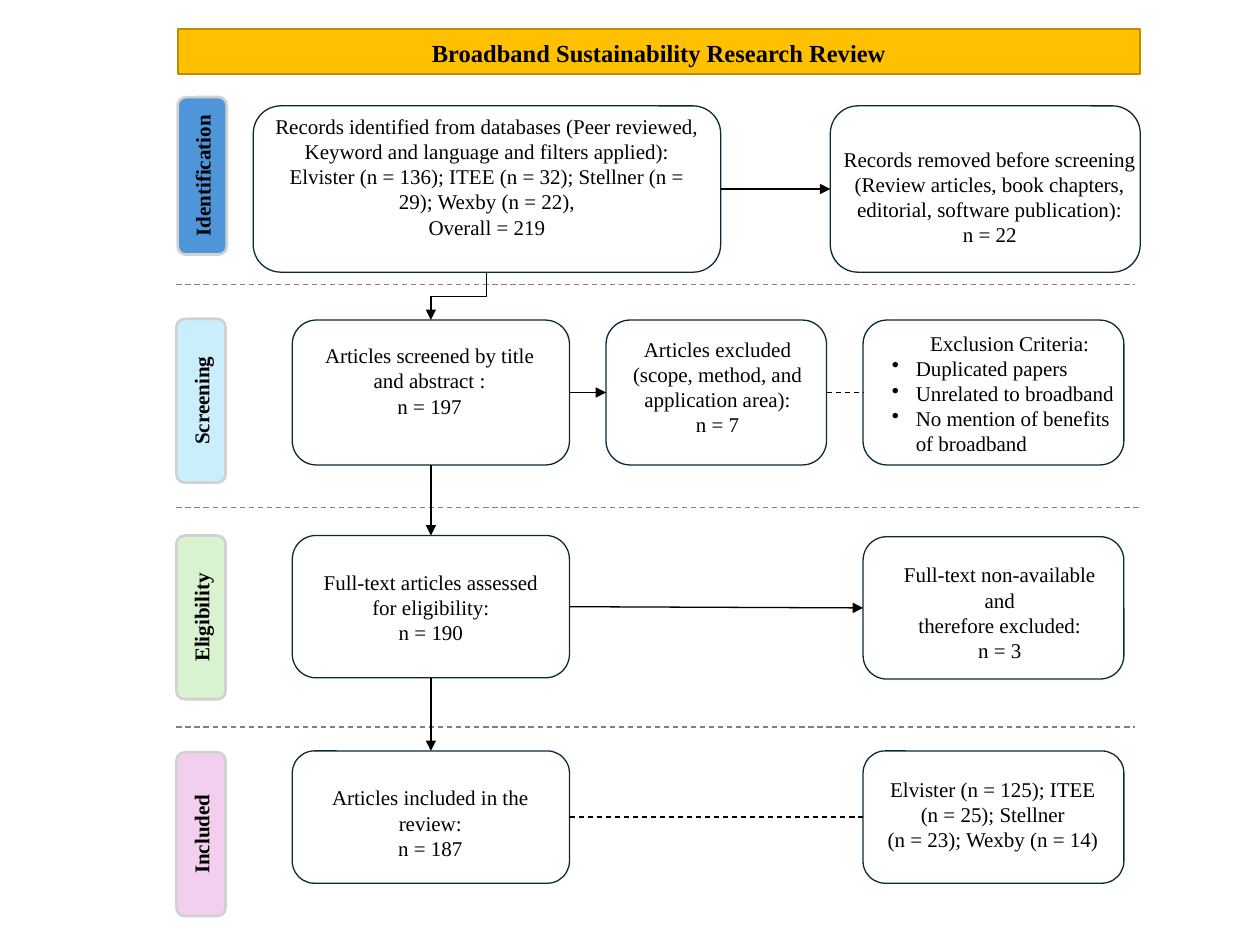
from lxml.etree import SubElement
from pptx import Presentation
from pptx.dml.color import RGBColor
from pptx.enum.dml import MSO_LINE
from pptx.enum.shapes import MSO_CONNECTOR, MSO_SHAPE
from pptx.enum.text import MSO_ANCHOR, MSO_AUTO_SIZE, PP_ALIGN
from pptx.oxml.ns import qn
from pptx.util import Inches, Pt

BLACK, GRAY, NAVY = "000000", "808080", "092A39"
TOP, LEFT, BOTTOM, RIGHT = range(4)

# phase, fill, left, top, height
PHASES = [
    ("Identification", "4E95D9", 1.41, 0.77, 1.25),
    ("Screening", "CAEEFB", 1.4, 2.53, 1.3),
    ("Eligibility", "D9F2D0", 1.4, 4.25, 1.3),
    ("Included", "F2CFEE", 1.4, 5.97, 1.3),
]

# name: frame, text frame, lines; a leading bullet makes a list item
BOXES = {
    "found": ((2.01, 0.84, 3.71, 1.32), (2.08, 0.85, 3.57, 1.31), [
        "Records identified from databases (Peer reviewed,",
        "Keyword and language and filters applied):",
        "Elvister (n = 136); ITEE (n = 32); Stellner (n = 29); Wexby (n = 22),",
        "Overall = 219"]),
    "removed": ((6.59, 0.84, 2.46, 1.32), (6.56, 1.11, 2.59, 0.91), [
        "Records removed before screening",
        "(Review articles, book chapters,",
        "editorial, software publication):",
        "n = 22"]),
    "screened": ((2.32, 2.54, 2.2, 1.15), (2.45, 2.67, 1.92, 0.71), [
        "Articles screened by title", "and abstract :", "n = 197"]),
    "dropped": ((4.81, 2.54, 1.75, 1.15), (4.89, 2.62, 1.61, 0.91), [
        "Articles excluded", "(scope, method, and", "application area):",
        "n = 7"]),
    "criteria": ((6.85, 2.54, 2.07, 1.15), (6.98, 2.57, 2.07, 1.11), [
        "Exclusion Criteria:", "•Duplicated papers",
        "•Unrelated to broadband", "•No mention of benefits of broadband"]),
    "assessed": ((2.32, 4.25, 2.2, 1.13), (2.41, 4.47, 2.02, 0.71), [
        "Full-text articles assessed", "for eligibility:", "n = 190"]),
    "missing": ((6.85, 4.26, 2.07, 1.13), (6.98, 4.41, 1.91, 0.91), [
        "Full-text non-available and", "therefore excluded:", "n = 3"]),
    "kept": ((2.32, 5.96, 2.2, 1.05), (2.36, 6.18, 2.11, 0.71), [
        "Articles included in the", "review:", "n = 187"]),
    "sources": ((6.85, 5.96, 2.07, 1.05), (6.92, 6.11, 1.92, 0.71), [
        "Elvister (n = 125); ITEE", "(n = 25); Stellner",
        "(n = 23); Wexby (n = 14)"]),
}

# from, side, to, side, arrow
LINKS = [
    ("found", RIGHT, "removed", LEFT, True),
    ("screened", RIGHT, "dropped", LEFT, True),
    ("dropped", RIGHT, "criteria", LEFT, False),
    ("screened", BOTTOM, "assessed", TOP, True),
    ("assessed", RIGHT, "missing", LEFT, True),
    ("assessed", BOTTOM, "kept", TOP, True),
    ("kept", RIGHT, "sources", LEFT, False),
]


def rgb(code):
    return RGBColor.from_string(code)


def inches(values):
    return [Inches(v) for v in values]


def paint(shape, fill, line, width):
    if fill:
        shape.fill.solid()
        shape.fill.fore_color.rgb = rgb(fill)
    else:
        shape.fill.background()
    shape.line.color.rgb = rgb(line)
    shape.line.width = Pt(width)


def style(para, size=12, bold=False):
    para.alignment = PP_ALIGN.CENTER
    font = para.font
    font.name, font.size, font.bold = "Times New Roman", Pt(size), bold
    font.color.rgb = rgb(BLACK)


def add_title(slide, text):
    title = slide.shapes.title
    title.left, title.top, title.width, title.height = inches(
        (1.41, 0.23, 7.64, 0.36))
    props = title.element.spPr
    SubElement(props, qn("a:prstGeom"), prst="flowChartAlternateProcess")
    paint(title, "FFC000", "BD8E00", 1)
    frame = title.text_frame
    frame.text = text
    frame.auto_size = MSO_AUTO_SIZE.NONE
    frame.vertical_anchor = MSO_ANCHOR.MIDDLE
    style(frame.paragraphs[0], 14, True)
    frame.paragraphs[0].line_spacing = 1.07


def add_round(slide, place, fill, line, width):
    shape = slide.shapes.add_shape(
        MSO_SHAPE.ROUNDED_RECTANGLE, *inches(place))
    shape.shadow.inherit = False
    paint(shape, fill, line, width)
    return shape


def add_phase(slide, text, fill, left, top, height):
    """Add a tab that reads upward; left, top and height are as seen."""
    thick = 0.39
    shift = (height - thick) / 2
    tab = add_round(slide, (left - shift, top + shift, height, thick),
                    fill, "D1D1D1", 1.5)
    tab.rotation = 270
    tab.text_frame.text = text
    tab.text_frame.vertical_anchor = MSO_ANCHOR.MIDDLE
    style(tab.text_frame.paragraphs[0], bold=True)


def add_bullet(para):
    para.alignment = PP_ALIGN.LEFT
    props = para._p.get_or_add_pPr()
    props.set("marL", str(Inches(0.19)))
    props.set("indent", str(-Inches(0.19)))
    mark = props.makeelement(qn("a:buChar"), {"char": "•"})
    props.insert(0, mark)


def add_text(slide, place, lines, wrap):
    frame = slide.shapes.add_textbox(*inches(place)).text_frame
    frame.word_wrap = wrap
    frame.text = "\n".join(line.lstrip("•") for line in lines)
    for para, line in zip(frame.paragraphs, lines):
        style(para)
        if line.startswith("•"):
            add_bullet(para)


def add_line(slide, ends, color=BLACK, arrow=False, dash=False,
             kind=MSO_CONNECTOR.STRAIGHT):
    link = slide.shapes.add_connector(kind, *inches(ends))
    link.line.color.rgb = rgb(color)
    link.line.width = Pt(0.75)
    if dash:
        link.line.dash_style = MSO_LINE.DASH
    if arrow:
        SubElement(link.line._get_or_add_ln(), qn("a:tailEnd"),
                   type="triangle")
    SubElement(link.element.spPr, qn("a:effectLst"))
    return link


def add_step(slide, start, end):
    """Add an elbow arrow that goes down, left and down."""
    (x1, y1), (x2, y2) = start, end
    midx, midy = (x1 + x2) / 2, (y1 + y2) / 2
    dx, dy = (y2 - y1) / 2, (x1 - x2) / 2
    link = add_line(slide, (midx - dx, midy - dy, midx + dx, midy + dy),
                    arrow=True, kind=MSO_CONNECTOR.ELBOW)
    link.element.spPr.xfrm.set("rot", str(90 * 60000))


def main():
    deck = Presentation()
    deck.slide_width, deck.slide_height = Inches(10), Inches(7.5)
    slide = deck.slides.add_slide(deck.slide_layouts[5])
    add_title(slide, "Broadband Sustainability Research Review")
    for phase in PHASES:
        add_phase(slide, *phase)
    for y, right in ((2.26, 9.01), (4.03, 9.06), (5.77, 9.01)):
        add_line(slide, (1.4, y, right, y), GRAY, dash=True)
    boxes = {}
    for name, (place, inner, lines) in BOXES.items():
        boxes[name] = add_round(slide, place, None, NAVY, 0.75)
        add_text(slide, inner, lines, wrap=name != "removed")
    for first, out, last, into, arrow in LINKS:
        link = add_line(slide, (0, 0, 1, 1), arrow=arrow, dash=not arrow)
        link.begin_connect(boxes[first], out)
        link.end_connect(boxes[last], into)
    add_step(slide, (3.86, 2.17), (3.42, 2.54))
    deck.save("out.pptx")


if __name__ == "__main__":
    main()
